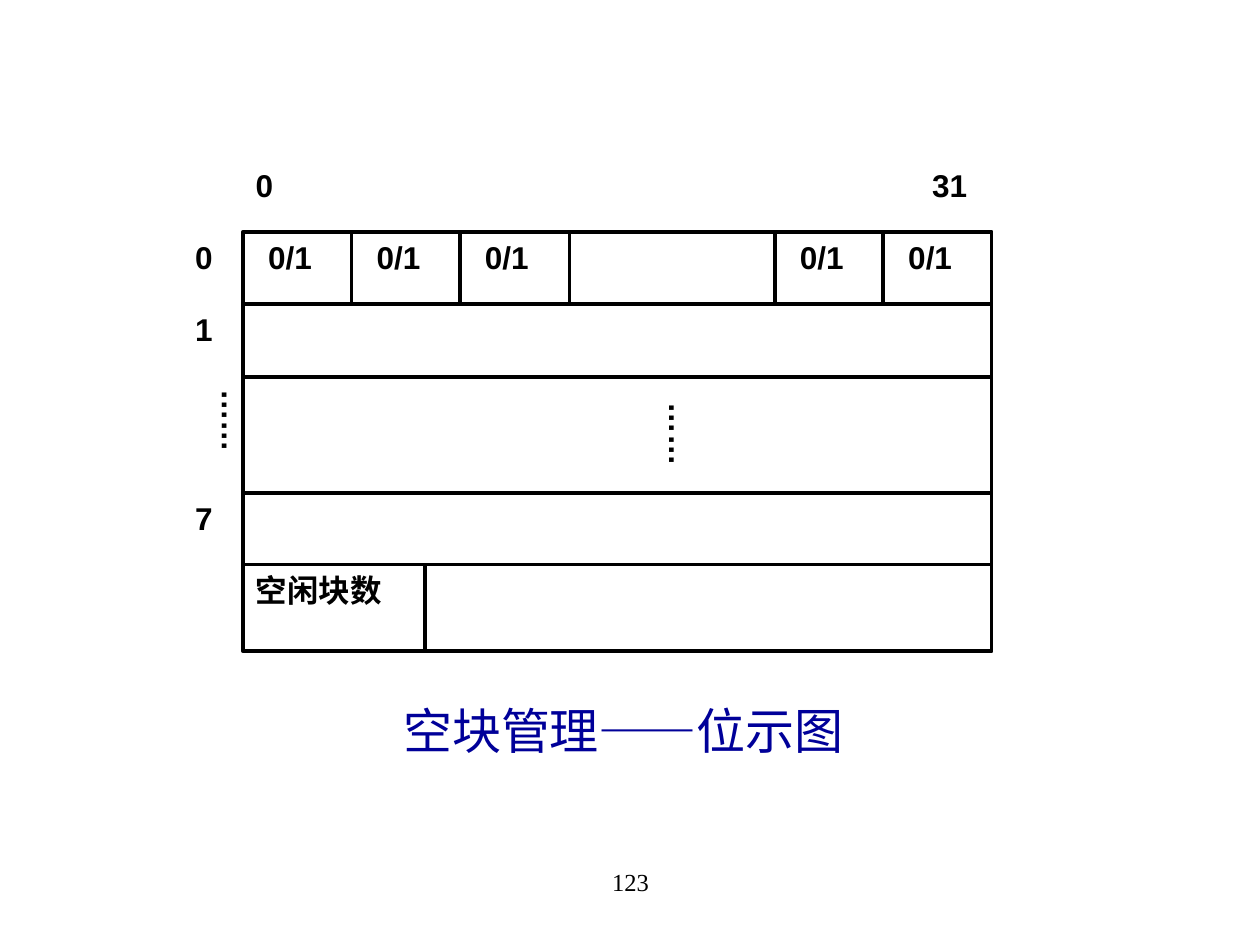
from lxml import etree
from pptx import Presentation
from pptx import util as u
from pptx.dml.color import RGBColor
from pptx.enum import shapes, text
from pptx.oxml.ns import qn

PX = 9144  # EMU per px, at 100 px to the inch
COLORS = {"ink": "000000", "paper": "FFFFFF", "title": "000099"}
LINE_PT = 2.25

# Bitmap frame and its divisions
LEFT, TOP, RIGHT, BOTTOM = 193, 184, 787, 517
ROW_EDGES = [241, 299, 391, 448]
BIT_EDGES = [279, 365, 452, 615, 701]
COUNT_EDGE = 337
BIT_LEFTS = [LEFT, 279, 365, 615, 701]
ROW_LABELS = [("0", TOP), ("1", 241), ("7", 391)]


def px(n):
    return u.Emu(n * PX)


def color(name):
    return RGBColor.from_string(COLORS[name])


def place(sp, x, y, w, h):
    sp.left, sp.top, sp.width, sp.height = px(x), px(y), px(w), px(h)


def write(sp, words, size=18, font="Arial", bold=True, ink="ink",
          align=text.PP_ALIGN.LEFT, wrap=False, vertical=False):
    tf = sp.text_frame
    tf.word_wrap = wrap
    tf.auto_size = (text.MSO_AUTO_SIZE.NONE if wrap
                    else text.MSO_AUTO_SIZE.SHAPE_TO_FIT_TEXT)
    tf.vertical_anchor = text.MSO_ANCHOR.TOP
    tf.margin_left = tf.margin_right = px(10)
    tf.margin_top = tf.margin_bottom = px(5)
    if vertical:
        sp.element.txBody.bodyPr.set("vert", "eaVert")
    p = tf.paragraphs[0]
    p.alignment = align
    r = p.add_run()
    r.text = words
    r.font.size = u.Pt(size)
    r.font.name = font
    r.font.bold = bold
    r.font.color.rgb = color(ink)


def add_label(s, words, x, y, w, h=40, **fmt):
    sp = s.shapes.add_textbox(px(x), px(y), px(w), px(h))
    write(sp, words, **fmt)


def add_line(s, x1, y1, x2, y2):
    c = s.shapes.add_connector(shapes.MSO_CONNECTOR.STRAIGHT,
                               px(x1), px(y1), px(x2), px(y2))
    c.line.color.rgb = color("ink")
    c.line.width = u.Pt(LINE_PT)
    etree.SubElement(c.element.spPr, qn("a:effectLst"))


def add_frame(s):
    sp = s.shapes.add_shape(shapes.MSO_SHAPE.RECTANGLE, px(LEFT), px(TOP),
                            px(RIGHT - LEFT), px(BOTTOM - TOP))
    sp.shadow.inherit = False
    sp.fill.solid()
    sp.fill.fore_color.rgb = color("paper")
    sp.line.color.rgb = color("ink")
    sp.line.width = u.Pt(LINE_PT)


def add_grid(s):
    add_frame(s)
    for y in ROW_EDGES:
        add_line(s, LEFT, y, RIGHT, y)
    for x in BIT_EDGES:
        add_line(s, x, TOP, x, ROW_EDGES[0])
    add_line(s, COUNT_EDGE, ROW_EDGES[-1], COUNT_EDGE, BOTTOM)


def main():
    prs = Presentation()
    prs.slide_width, prs.slide_height = px(1000), px(750)
    s = prs.slides.add_slide(prs.slide_layouts[5])

    # Title below the bitmap, with room to stay on one line
    place(s.shapes.title, 310, 551, 390, 57)
    write(s.shapes.title, "空块管理——位示图", size=28,
          font="Times New Roman", bold=False, ink="title", wrap=True)

    add_grid(s)

    # Bit numbers, bit values and word numbers
    add_label(s, "0", LEFT, 127, 34)
    add_label(s, "31", 730, 127, 48)
    for x in BIT_LEFTS:
        add_label(s, "0/1", x + 10, TOP, 55)
    for number, y in ROW_LABELS:
        add_label(s, number, 145, y, 34)

    # Skipped rows and the free block count
    for x, y in [(511, 310), (156, 299)]:
        add_label(s, "……", x, y, 50, 60, vertical=True)
    add_label(s, "空闲块数", LEFT, ROW_EDGES[-1], 120)

    # Page number
    add_label(s, "123", 342, 683, 317, 50, size=14, font="Times New Roman",
              bold=False, align=text.PP_ALIGN.CENTER, wrap=True)

    prs.save("out.pptx")


if __name__ == "__main__":
    main()
